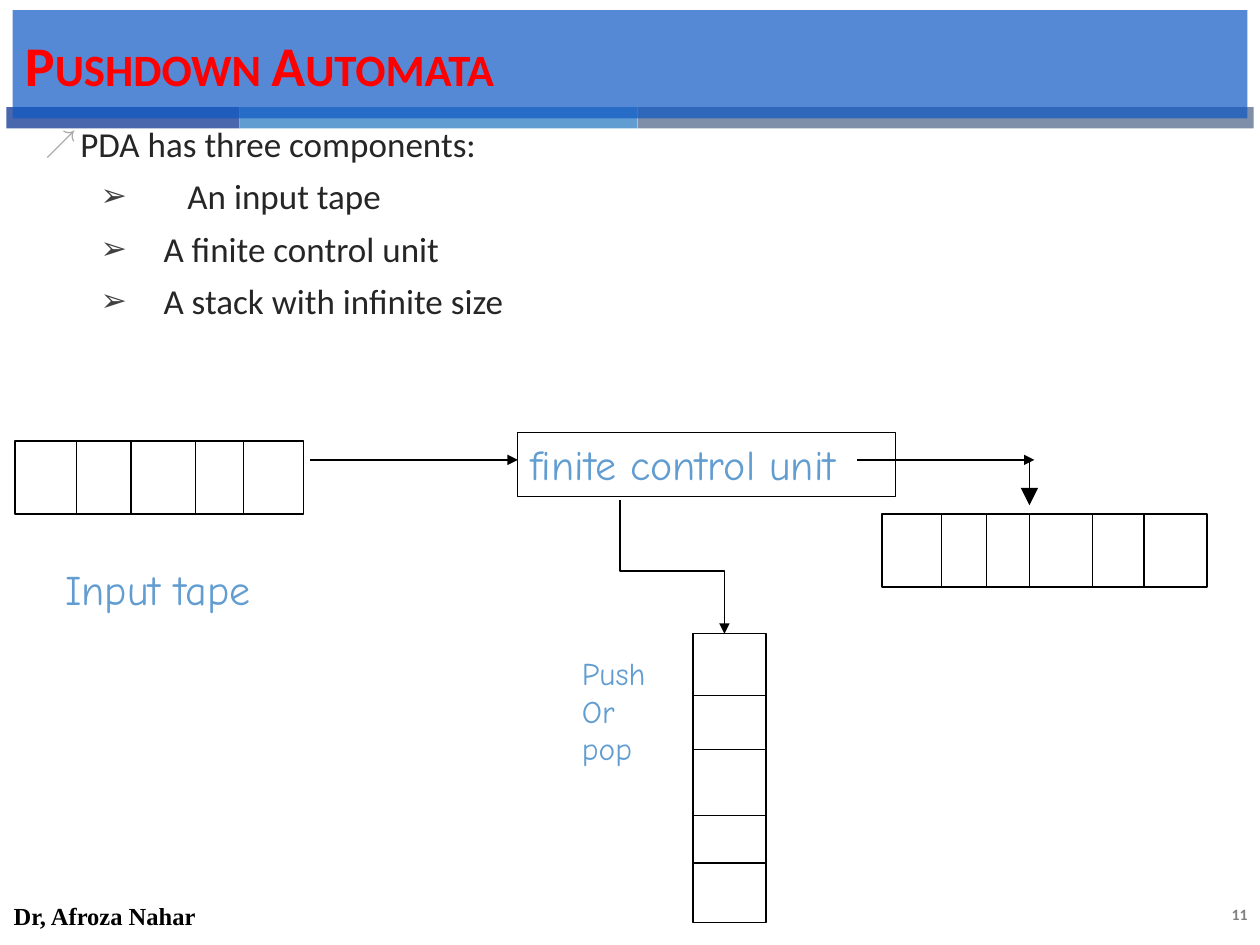
from lxml import etree
from pptx import Presentation
from pptx import util as u
from pptx.dml.color import RGBColor
from pptx.enum import shapes, text
from pptx.oxml.ns import qn

COLORS = {
    "title": "FF0000", "banner": "0E58C4", "navy": "4A66AC", "sky": "629DD1",
    "slate": "7F8FA9", "body": "262626", "mark": "A6A6A6", "submark": "404040",
    "ink": "000000", "number": "808080",
}


def rgb(name):
    return RGBColor.from_string(COLORS[name])


def child(parent, tag, **attrs):
    return etree.SubElement(parent, qn(tag), attrs)


class Deck:
    line_width = u.Pt(0.75)

    def __init__(self, prs):
        self.slide = prs.slides.add_slide(prs.slide_layouts[6])
        self.shapes = self.slide.shapes

    def rect(self, x, y, w, h, fill=None, line=None, alpha=None, parent=None):
        sp = (parent or self.shapes).add_shape(
            shapes.MSO_SHAPE.RECTANGLE, *map(u.Inches, (x, y, w, h)))
        sp.shadow.inherit = False
        if fill:
            sp.fill.solid()
            sp.fill.fore_color.rgb = rgb(fill)
            if alpha:
                solid = sp._element.spPr.find(qn("a:solidFill"))
                child(solid[0], "a:alpha", val=str(alpha * 1000))
        else:
            sp.fill.background()
        if line:
            sp.line.color.rgb = rgb(line)
            sp.line.width = self.line_width
        else:
            sp.line.fill.background()
        return sp

    def set_text(self, sp, lines, size, color, font="Calibri", bold=False,
                 align="LEFT", anchor="TOP", wrap=True, before=0):
        tf = sp.text_frame
        tf.text = "\n".join(lines)
        tf.word_wrap = wrap
        tf.vertical_anchor = text.MSO_ANCHOR[anchor]
        for p in tf.paragraphs:
            p.alignment = text.PP_ALIGN[align]
            p.space_before = u.Pt(before)
            for r in p.runs:
                r.font.size = u.Pt(size)
                r.font.name = font
                r.font.bold = bold
                r.font.color.rgb = rgb(color)
        return tf

    def label(self, x, y, w, h, lines, size, color, **style):
        sp = self.shapes.add_textbox(*map(u.Inches, (x, y, w, h)))
        return self.set_text(sp, lines, size, color, **style)

    def bullet(self, p, char, color, margin, hang):
        pPr = p._p.get_or_add_pPr()
        pPr.set("marL", str(u.Inches(margin)))
        pPr.set("indent", str(u.Inches(-hang)))
        child(child(pPr, "a:buClr"), "a:srgbClr", val=COLORS[color])
        child(pPr, "a:buSzPct", val="90000")
        child(pPr, "a:buFont", typeface="Arial")
        child(pPr, "a:buChar", char=char)

    def line(self, start, end, kind="STRAIGHT", head=None, parent=None):
        cxn = (parent or self.shapes).add_connector(
            shapes.MSO_CONNECTOR[kind], *map(u.Inches, (*start, *end)))
        cxn.line.color.rgb = rgb("ink")
        cxn.line.width = self.line_width
        spPr = cxn._element.spPr
        if head:
            child(spPr.find(qn("a:ln")), "a:tailEnd",
                  type="triangle", w=head, len=head)
        child(spPr, "a:effectLst")
        return cxn

    def elbow(self, start, end, bend):
        (x1, y1), (x2, y2) = start, end
        cx, cy = (x1 + x2) / 2, (y1 + y2) / 2
        half_w, half_h = (y2 - y1) / 2, (x2 - x1) / 2
        cxn = self.line((cx + half_w, cy - half_h), (cx - half_w, cy + half_h),
                        "ELBOW", "med")
        spPr = cxn._element.spPr
        spPr.find(qn("a:xfrm")).set("rot", str(270 * 60000))
        guides = spPr.find(qn("a:prstGeom")).get_or_add_avLst()
        child(guides, "a:gd", name="adj1", fmla=f"val {round(bend * 100000)}")

    def tape(self, x, y, w, h, cuts, vertical=False):
        group = self.shapes.add_group_shape().shapes
        self.rect(x, y, w, h, line="ink", parent=group)
        for c in cuts:
            ends = ((x, c), (x + w, c)) if vertical else ((c, y), (c, y + h))
            self.line(*ends, parent=group)


def main():
    prs = Presentation()
    prs.slide_width, prs.slide_height = u.Inches(10), u.Inches(7.5)
    s = Deck(prs)
    hand = {"color": "sky", "font": "Comic Neue", "wrap": False}

    s.label(8.73, 7.13, 1.27, 0.25, ["11"], 9, "number", bold=True, align="RIGHT")
    for x, w, fill in ((0.05, 1.85, "navy"), (1.9, 3.16, "sky"), (5.06, 4.89, "slate")):
        s.rect(x, 0.85, w, 0.17, fill)

    tf = s.label(0.26, 0.92, 9.67, 6, [
        "PDA has three components:", "An input tape",
        "A finite control unit", "A stack with infinite size",
    ], 20, "body", before=6)
    intro, first, *others = tf.paragraphs
    s.bullet(intro, "↗", "mark", 0.28, 0.28)
    s.bullet(first, "➢", "submark", 1.13, 0.69)
    for p in others:
        s.bullet(p, "➢", "submark", 0.94, 0.5)

    s.label(0.01, 7.07, 6.7, 0.4, ["Dr, Afroza Nahar"], 14, "ink",
            font="Times New Roman", bold=True, anchor="MIDDLE")

    banner = s.rect(0.1, 0.08, 9.8, 0.86, "banner", alpha=70)
    tf = s.set_text(banner, ["Pushdown Automata"], 32, "title",
                    bold=True, anchor="MIDDLE", before=6)
    tf.paragraphs[0].runs[0].font._element.set("cap", "small")

    s.tape(7, 4.08, 2.58, 0.58, (7.47, 7.83, 8.17, 8.67, 9.08))
    s.tape(5.5, 5.03, 0.58, 2.29, (5.52, 5.95, 6.47, 6.85), vertical=True)
    s.tape(0.12, 3.5, 2.29, 0.58, (0.61, 1.04, 1.55, 1.93))

    control = s.rect(4.11, 3.43, 3, 0.51, line="ink")
    s.set_text(control, ["finite control unit"], 24, **hand)
    s.label(0.42, 4.42, 1.87, 0.51, ["Input tape"], 24, **hand)
    s.label(4.52, 5.14, 0.73, 1.01, ["Push", "Or", "pop"], 18, **hand)

    s.elbow((4.92, 3.97), (5.75, 5.03), 0.53)
    s.line((6.8, 3.65), (8.21, 3.65), head="med")
    s.line((8.17, 3.67), (8.17, 4.01), head="lg")
    s.line((2.46, 3.65), (4.11, 3.65), head="med")

    prs.save("out.pptx")


if __name__ == "__main__":
    main()
